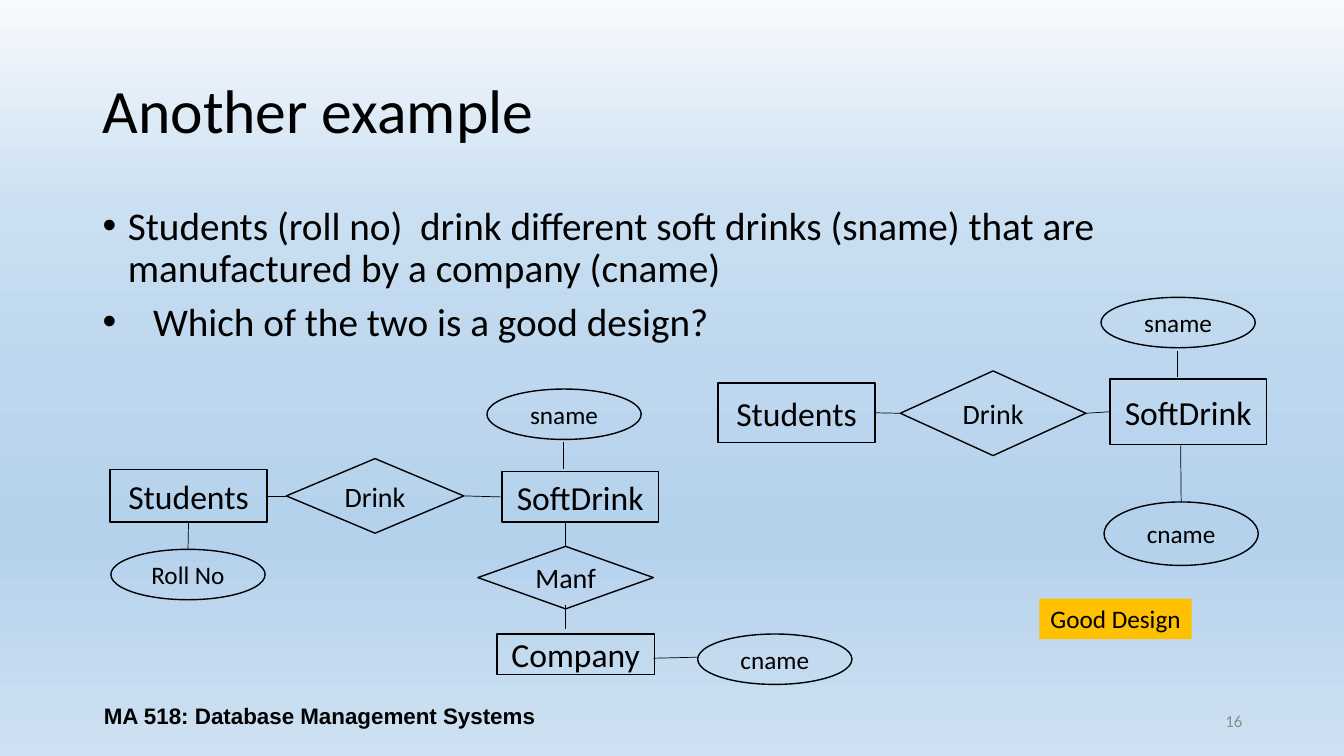
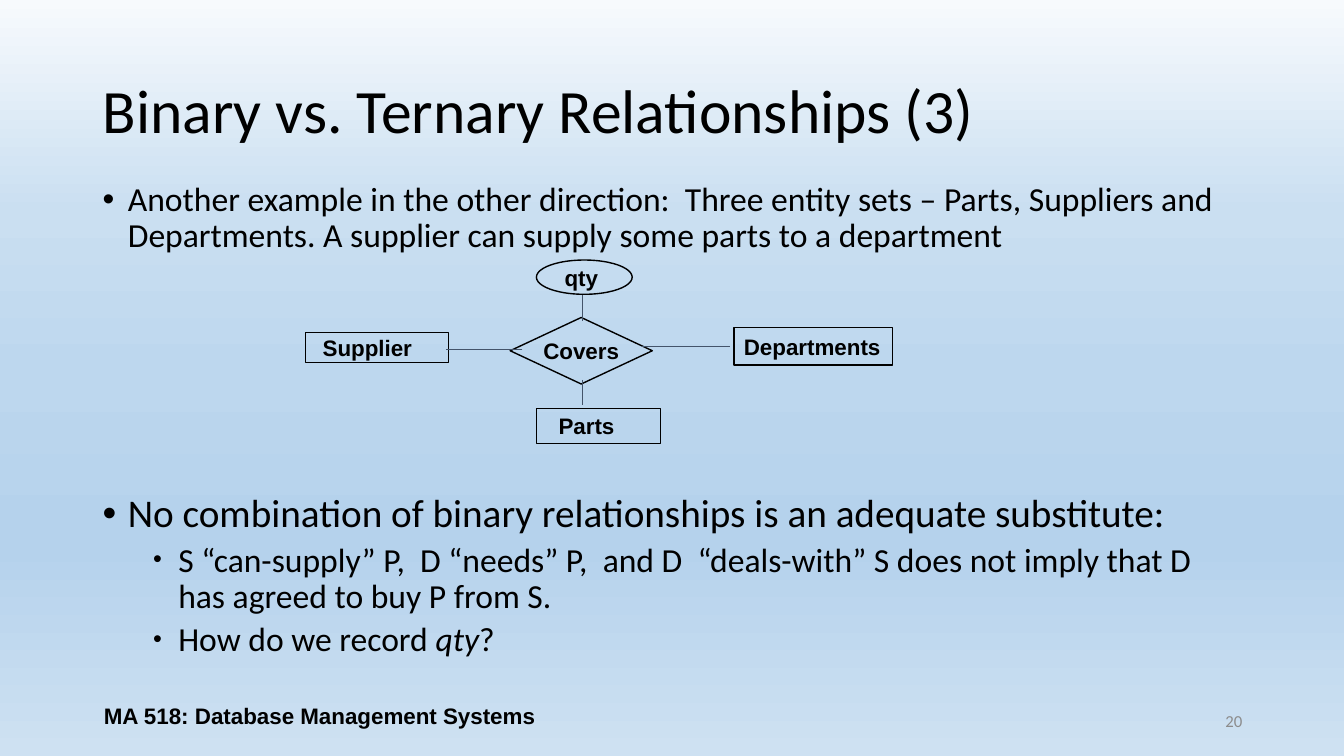
"""Build two lecture slides on entity-relationship design."""
from lxml import etree
from pptx import Presentation
from pptx.dml.color import RGBColor
from pptx.enum import shapes, text
from pptx.oxml import ns
from pptx.util import Inches, Pt

BLACK, GREY, SLATE, GOLD = "000000", "8C8C8C", "44546A", "FFC000"
SKY = [(0, "F7FAFD"), (28, "CADFF1"), (49, "BDD7EE"),
       (71, "B5D2EC"), (72, "B5D2EC"), (100, "CEE1F2")]
FOOTER = "MA 518: Database Management Systems"
FORMS = {"rect": shapes.MSO_SHAPE.RECTANGLE, "oval": shapes.MSO_SHAPE.OVAL,
         "diamond": shapes.MSO_SHAPE.DIAMOND}
SIZES = {"rect": 24, "diamond": 20, "oval": 18}
TOP, LEFT, BOTTOM, RIGHT = range(4)
LEFT_AL, MID_AL, RIGHT_AL = (text.PP_ALIGN.LEFT, text.PP_ALIGN.CENTER,
                             text.PP_ALIGN.RIGHT)

# level: left margin, hanging indent, space before, line spacing, bullet percent
LEVELS = {"main": (0.25, 0.25, 10, 0.9, 100), "sub": (0.75, 0.25, 5, 0.9, 75),
          "wide": (0.5, 0.5, 0, 1.0, 100)}

ER = dict(font="Calibri", bold=False, line=BLACK, width=0.5)
TERN = dict(font="Arial", bold=True, line=SLATE, width=1)

SLIDES = [
    dict(
        title="Another example", number="16",
        bodies=[
            ((0.92, 2, 11.5, 0.95), [
                ("main", 28, "Students (roll no)  drink different soft drinks (sname) "
                             "that are manufactured by a company (cname)")]),
            ((0.92, 2.9, 6.9, 0.57), [
                ("wide", 28, "Which of the two is a good design?")])],
        charts=[
            dict(style=ER, nodes=[
                ("SoftDrink", "rect", (11.01, 3.76, 1.55, 0.65)),
                ("Students", "rect", (7.12, 3.8, 1.56, 0.59)),
                ("Drink", "diamond", (8.93, 3.68, 1.84, 0.84)),
                ("cname", "oval", (10.95, 4.98, 1.53, 0.63)),
                ("sname", "oval", (10.92, 2.95, 1.53, 0.5))],
                links=[
                    (("Students", RIGHT), ("Drink", LEFT)),
                    (("Drink", RIGHT), ("SoftDrink", LEFT)),
                    ((11.71, 4.42), ("cname", TOP)),
                    ((11.68, 3.48), (11.68, 3.74))]),
            dict(style=ER, nodes=[
                ("SoftDrink", "rect", (4.98, 4.68, 1.55, 0.5)),
                ("Students", "rect", (1.09, 4.66, 1.56, 0.52)),
                ("Drink", "diamond", (2.84, 4.55, 1.76, 0.74)),
                ("Manf", "diamond", (4.74, 5.42, 1.74, 0.62)),
                ("Company", "rect", (4.93, 6.29, 1.56, 0.4)),
                ("Roll No", "oval", (1.1, 5.45, 1.53, 0.5)),
                ("sname", "oval", (4.83, 3.86, 1.53, 0.5)),
                ("cname", "oval", (6.92, 6.29, 1.53, 0.5))],
                links=[
                    (("Students", RIGHT), ("Drink", LEFT)),
                    (("Drink", RIGHT), ("SoftDrink", LEFT)),
                    ((5.61, 5.19), ("Manf", TOP)),
                    ((5.61, 6), (5.61, 6.24)),
                    (("Students", BOTTOM), ("Roll No", TOP)),
                    ((5.59, 4.39), (5.59, 4.65)),
                    ((6.92, 6.52), (6.48, 6.53))])],
        badge=("Good Design", (10.31, 5.94, 1.51, 0.4))),
    dict(
        title="Binary vs. Ternary Relationships (3)", number="20",
        bodies=[
            ((0.92, 1.76, 11.5, 0.85), [
                ("main", 24, "Another example in the other direction:  Three entity sets "
                             "– Parts, Suppliers and Departments. A supplier can supply "
                             "some parts to a department")]),
            ((0.92, 4.85, 11.5, 2), [
                ("main", 28, "No combination of binary relationships is an adequate "
                             "substitute:"),
                ("sub", 24, "S “can-supply” P,  D “needs” P,  and D  “deals-with” S does "
                            "not imply that D has agreed to buy P from S."),
                ("sub", 24, "How do we record *qty*?")])],
        charts=[
            dict(style=TERN, nodes=[
                ("Departments", "rect", (7.28, 3.25, 1.57, 0.37), 0.1),
                ("Supplier", "rect", (3.03, 3.3, 1.42, 0.3), 0.17),
                ("Parts", "rect", (5.32, 4.05, 1.23, 0.35), 0.22),
                ("Covers", "diamond", (5.06, 3.15, 1.41, 0.66)),
                ("qty", "oval", (5.32, 2.58, 0.95, 0.34), 0.14)],
                links=[
                    ((6.37, 3.44), (7.24, 3.44)),
                    ((5.78, 3.77), (5.78, 4.02)),
                    ((5.78, 3.18), (5.78, 2.93)),
                    ((5.18, 3.47), (4.42, 3.47))])]),
]


def rgb(code):
    """Turn a hex string into a colour."""
    return RGBColor.from_string(code)


def pen(par, size, font="Calibri", color=BLACK, bold=False):
    """Set the font of a paragraph."""
    par.font.size, par.font.name, par.font.bold = Pt(size), font, bold
    par.font.color.rgb = rgb(color)


def label(slide, box, words, size, align=LEFT_AL, spacing=1.0, **look):
    """Add one line of plain text, centred vertically."""
    frame = slide.shapes.add_textbox(*map(Inches, box)).text_frame
    frame.word_wrap = True
    frame.vertical_anchor = text.MSO_ANCHOR.MIDDLE
    par = frame.paragraphs[0]
    par.text, par.alignment, par.line_spacing = words, align, spacing
    pen(par, size, **look)


def bullet(par, level):
    """Give a paragraph its bullet, indents and spacing."""
    margin, hang, before, spacing, scale = LEVELS[level]
    props = par._p.get_or_add_pPr()
    props.set("marL", str(Inches(margin)))
    props.set("indent", str(-Inches(hang)))
    for tag, key, value in (("buSzPct", "val", str(scale * 1000)),
                            ("buFont", "typeface", "Arial"), ("buChar", "char", "•")):
        etree.SubElement(props, ns.qn("a:" + tag)).set(key, value)
    par.space_before, par.line_spacing = Pt(before), spacing


def body(slide, box, items):
    """Add a bulleted list; starred words are italic."""
    frame = slide.shapes.add_textbox(*map(Inches, box)).text_frame
    frame.word_wrap = True
    for i, (level, size, words) in enumerate(items):
        par = frame.add_paragraph() if i else frame.paragraphs[0]
        bullet(par, level)
        pen(par, size)
        for j, part in enumerate(words.split("*")):
            run = par.add_run()
            run.text = part
            if j % 2:
                run.font.italic = True


def node(slide, words, form, box, size, inset=None, fill=None, font="Calibri",
         bold=False):
    """Add an outlined or filled shape, its text centred or inset from the left."""
    shape = slide.shapes.add_shape(FORMS[form], *map(Inches, box))
    shape.shadow.inherit = False
    if fill:
        shape.fill.solid()
        shape.fill.fore_color.rgb = rgb(fill)
        shape.line.fill.background()
    else:
        shape.fill.background()
        shape.line.color.rgb = rgb(BLACK)
        shape.line.width = Pt(1)
    frame = shape.text_frame
    frame.margin_left = Inches(inset or 0)
    frame.margin_right = frame.margin_top = frame.margin_bottom = 0
    frame.word_wrap = inset is not None
    frame.vertical_anchor = text.MSO_ANCHOR.MIDDLE
    par = frame.paragraphs[0]
    par.text = words
    par.alignment = MID_AL if inset is None else LEFT_AL
    pen(par, size, font=font, bold=bold)
    return shape


def link(slide, nodes, start, end, style):
    """Draw a line between points or named shape sides."""
    points = [(0, 0) if p[0] in nodes else p for p in (start, end)]
    line = slide.shapes.add_connector(shapes.MSO_CONNECTOR.STRAIGHT,
                                      *(Inches(n) for p in points for n in p))
    for spot, join in ((start, line.begin_connect), (end, line.end_connect)):
        if spot[0] in nodes:
            join(nodes[spot[0]], spot[1])
    line.line.color.rgb, line.line.width = rgb(style["line"]), Pt(style["width"])
    etree.SubElement(line._element.spPr, ns.qn("a:effectLst"))


def chart(slide, style, nodes, links):
    """Draw one entity-relationship diagram."""
    made = {}
    for name, form, box, *inset in nodes:
        size = 16 if style is TERN else SIZES[form]
        made[name] = node(slide, name, form, box, size, *inset,
                          font=style["font"], bold=style["bold"])
    for start, end in links:
        link(slide, made, start, end, style)


def sky(master):
    """Put the shared gradient behind all slides."""
    fill = master.background.fill
    fill.gradient()
    fill.gradient_angle = 270
    stops = master.element.xpath(".//p:bgPr/a:gradFill/a:gsLst")[0]
    for old in list(stops):
        stops.remove(old)
    for pos, code in SKY:
        stop = etree.SubElement(stops, ns.qn("a:gs"), pos=str(pos * 1000))
        etree.SubElement(stop, ns.qn("a:srgbClr"), val=code)


def main():
    """Build and save the slides."""
    prs = Presentation()
    prs.slide_width, prs.slide_height = Inches(13.33), Inches(7.5)
    sky(prs.slide_master)
    for data in SLIDES:
        slide = prs.slides.add_slide(prs.slide_layouts[6])
        label(slide, (0.92, 0.4, 11.5, 1.45), data["title"], 44, spacing=0.9)
        for box, items in data["bodies"]:
            body(slide, box, items)
        label(slide, (9.42, 6.95, 3, 0.4), data["number"], 12, RIGHT_AL, color=GREY)
        label(slide, (0.92, 6.9, 4.5, 0.4), FOOTER, 16, MID_AL, font="Arial", bold=True)
        for part in data["charts"]:
            chart(slide, **part)
        if "badge" in data:
            words, box = data["badge"]
            node(slide, words, "rect", box, 18, fill=GOLD)
    prs.save("out.pptx")


if __name__ == "__main__":
    main()
